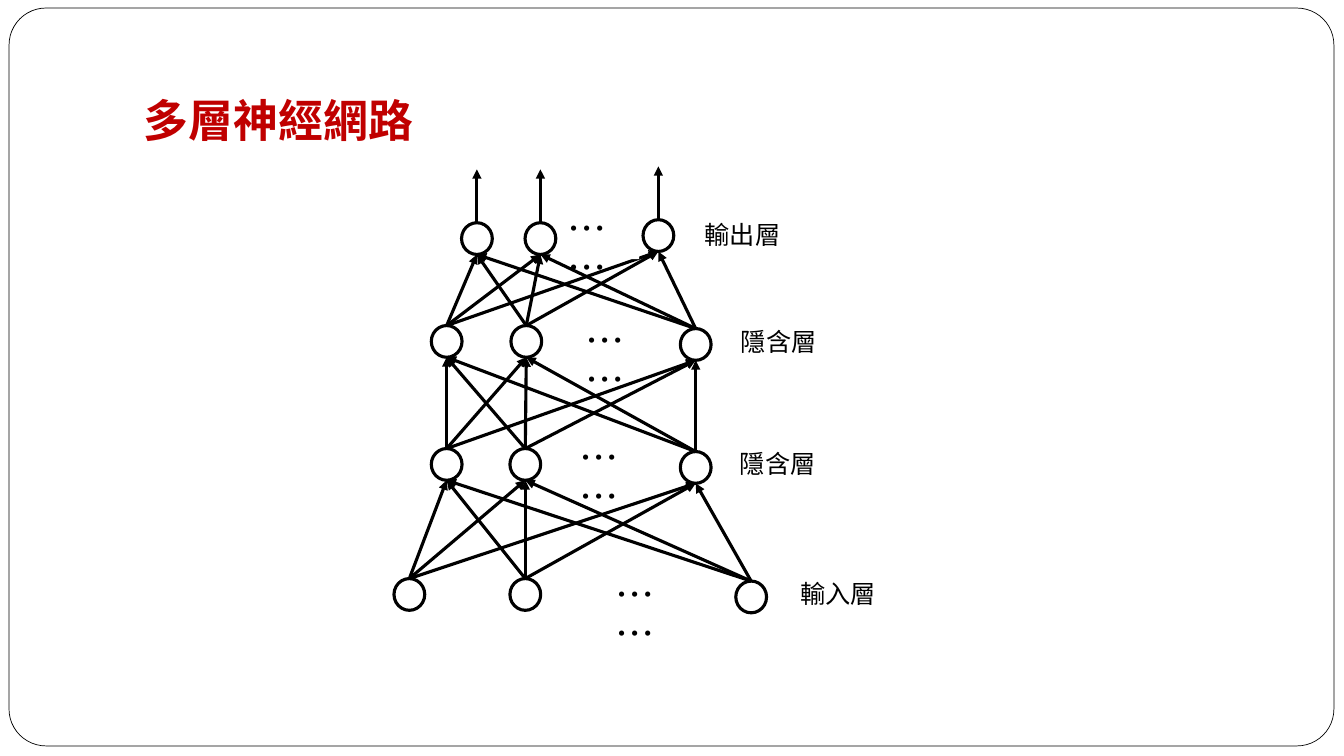
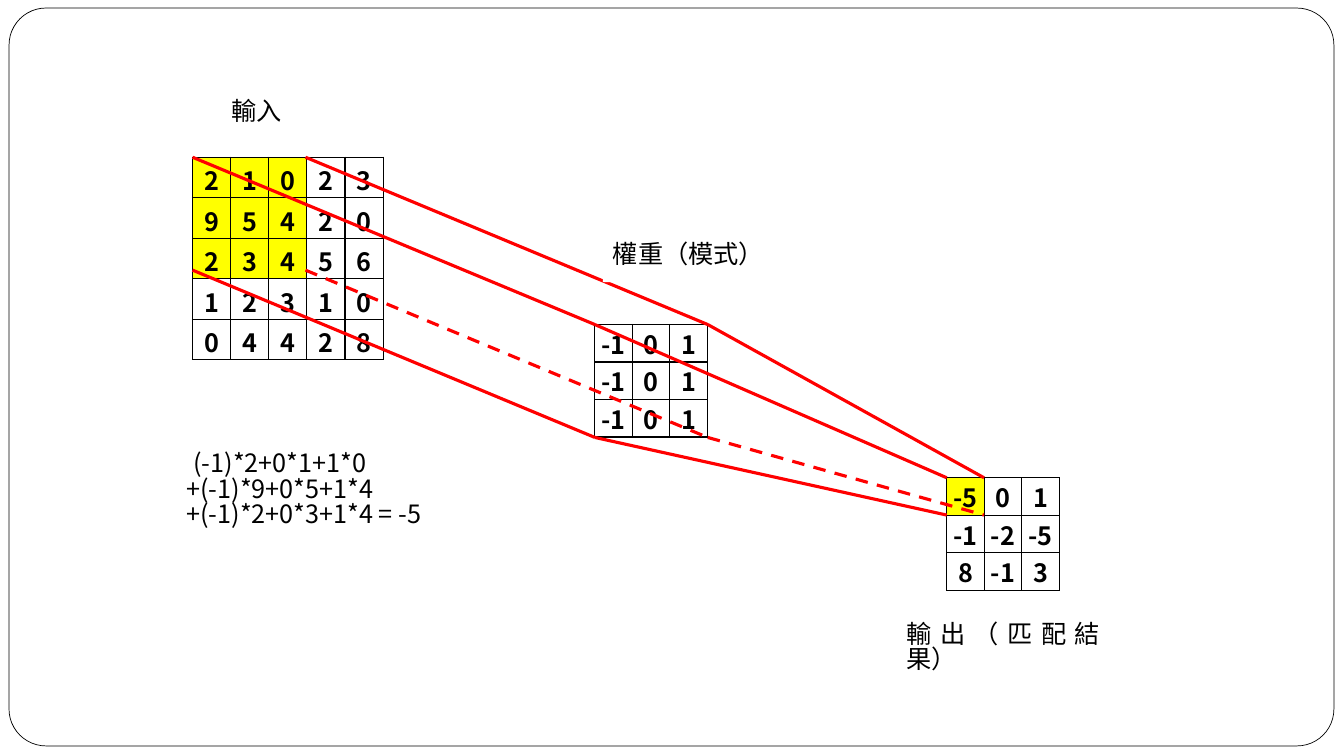
from dataclasses import dataclass
from itertools import product
from typing import NamedTuple, Optional

from lxml import etree
from pptx import Presentation
from pptx import util as u
from pptx.dml.color import RGBColor
from pptx.enum import dml, shapes, text
from pptx.oxml.ns import qn

COLORS = {
    "ink": "000000",
    "paper": "FFFFFF",
    "title": "C00000",
    "patch": "FFFF00",
    "ray": "FF0000",
}
BODY_FONT = "Noto Sans CJK SC"
TITLE_FONT = "Times New Roman"
LINE_PT = 2.25
LINE_SPACING = 0.84

# Grid: one column or row is a tenth of an inch
SLIDE_COLS, SLIDE_ROWS = 133.3, 75
NODE_WIDTH, NODE_HEIGHT = 3.05, 3.15


class Box(NamedTuple):
    left: float
    top: float
    width: float
    height: float


class Point(NamedTuple):
    x: float
    y: float


@dataclass(frozen=True)
class Layer:
    label: str
    centers: tuple[float, float, float]
    top: float
    last_shift: float  # the last node stands slightly off the row
    label_box: Box
    dots_box: Box

    def tops(self) -> list[Point]:
        shifts = (0, 0, self.last_shift)
        return [Point(x, self.top + s) for x, s in zip(self.centers, shifts)]

    def bottoms(self) -> list[Point]:
        return [Point(x, y + NODE_HEIGHT) for x, y in self.tops()]


@dataclass(frozen=True)
class Matrix:
    origin: Point
    cell: float
    values: str  # rows are separated by "/"
    patch: int  # highlighted rows and columns, from the top left
    window: float  # side of the square that the rays join
    top_inset: float = 0

    def corners(self) -> list[Point]:
        return [Point(self.origin.x + dx, self.origin.y + dy)
                for dx, dy in product((0, self.window), repeat=2)]


# Bottom to top
LAYERS = (
    Layer("輸入層", (40.6, 52.1, 74.5), 57.4, 0.25,
          Box(78.4, 57.4, 11.1, 5.2), Box(60.1, 56.8, 9.2, 5.2)),
    Layer("隱含層", (44.3, 52.1, 69), 44.5, 0.3,
          Box(72.4, 44.5, 10.9, 5.2), Box(56.5, 43.2, 7.5, 5.2)),
    Layer("隱含層", (44.3, 52.2, 69), 32.3, 0.3,
          Box(72.5, 32.4, 10.9, 5.2), Box(57.1, 31.6, 7.5, 5.2)),
    Layer("輸出層", (47.3, 53.6, 65.3), 22.1, -0.3,
          Box(68.9, 21.7, 12.2, 5.2), Box(55.3, 20.5, 8.1, 5.2)),
)
OUTPUT_ARROW = 5.3

# Input, weights, result
MATRICES = (
    Matrix(Point(19.1, 15.6), 3.78, "2 1 0 2 3/9 5 4 2 0/2 3 4 5 6/1 2 3 1 0/0 4 4 2 8",
           3, 11.2, 0.4),
    Matrix(Point(59, 32.2), 3.72, "-1 0 1/-1 0 1/-1 0 1", 0, 11.2),
    Matrix(Point(93.9, 47.4), 3.72, "-5 0 1/-1 -2 -5/8 -1 3", 1, 3.7),
)
CAPTIONS = (
    ("輸入", Box(22, 9.4, 8.3, 4.6)),
    ("權重（模式）", Box(59.8, 23.6, 17.3, 4.4)),
    ("輸出（匹配結果）", Box(88.9, 61.3, 21.2, 4.8)),
)
CALCULATION = "(-1)*2+0*1+1*0\n+(-1)*9+0*5+1*4\n+(-1)*2+0*3+1*4 = -5"


def grid(cells: float) -> int:
    return u.Inches(cells / 10)


def color(name: str) -> RGBColor:
    return RGBColor.from_string(COLORS[name])


def place(box: Box) -> list[int]:
    return [grid(length) for length in box]


def style_run(run, size: float, name: str = "ink", bold: bool = False,
              font: str = BODY_FONT) -> None:
    run.font.size, run.font.bold, run.font.name = u.Pt(size), bold, font
    run.font.color.rgb = color(name)
    if font == BODY_FONT:
        east_asian = etree.SubElement(run.font._element, qn("a:ea"))
        east_asian.set("typeface", font)


def add_outline(slide, kind, box: Box, fill: Optional[str], line: Optional[str],
                weight: float = LINE_PT):
    outline = slide.shapes.add_shape(kind, *place(box))
    outline.shadow.inherit = False
    if fill:
        outline.fill.solid()
        outline.fill.fore_color.rgb = color(fill)
    else:
        outline.fill.background()
    if line:
        outline.line.color.rgb = color(line)
        outline.line.width = u.Pt(weight)
    else:
        outline.line.fill.background()
    return outline


def add_label(slide, words: str, box: Box, size: float = 18):
    label = add_outline(slide, shapes.MSO_SHAPE.RECTANGLE, box, "paper", None)
    frame = label.text_frame
    frame.text = words
    frame.word_wrap = True
    frame.vertical_anchor = text.MSO_ANCHOR.TOP
    for paragraph in frame.paragraphs:
        paragraph.alignment = text.PP_ALIGN.JUSTIFY
        paragraph.line_spacing = LINE_SPACING
        for run in paragraph.runs:
            style_run(run, size)
    return label


def add_line(slide, start: Point, end: Point, name: str = "ink",
             arrow: bool = False, dashed: bool = False) -> None:
    line = slide.shapes.add_connector(
        shapes.MSO_CONNECTOR.STRAIGHT, *place(Box(*start, *end)))
    line.line.color.rgb = color(name)
    line.line.width = u.Pt(LINE_PT)
    if dashed:
        line.line.dash_style = dml.MSO_LINE.DASH
    if arrow:
        etree.SubElement(line.line._get_or_add_ln(), qn("a:tailEnd"), type="triangle")
    etree.SubElement(line._element.spPr, qn("a:effectLst"))


def add_framed_slide(deck):
    slide = deck.slides.add_slide(deck.slide_layouts[6])
    border = add_outline(slide, shapes.MSO_SHAPE.ROUNDED_RECTANGLE,
                         Box(0.9, 0.8, 131.4, 73.2), "paper", "ink", 0.5)
    border.adjustments[0] = 0.05
    return slide


def add_title(slide, words: str) -> None:
    frame = slide.shapes.add_textbox(*place(Box(13.3, 3, 113.3, 12.5))).text_frame
    frame.text = words
    frame.word_wrap = True
    frame.vertical_anchor = text.MSO_ANCHOR.BOTTOM
    frame.margin_bottom = grid(1)
    style_run(frame.paragraphs[0].runs[0], 32, "title", True, TITLE_FONT)


def border_cell(cell) -> None:
    properties = cell._tc.get_or_add_tcPr()
    for position, side in enumerate(("lnL", "lnR", "lnT", "lnB")):
        edge = etree.Element(qn(f"a:{side}"), w=str(u.Pt(1)))
        fill = etree.SubElement(edge, qn("a:solidFill"))
        etree.SubElement(fill, qn("a:srgbClr"), val=COLORS["ink"])
        properties.insert(position, edge)


def add_matrix(slide, matrix: Matrix) -> None:
    rows = [row.split() for row in matrix.values.split("/")]
    side = matrix.cell * len(rows)
    table = slide.shapes.add_table(
        len(rows), len(rows), *place(Box(*matrix.origin, side, side))).table
    table.first_row = table.horz_banding = False
    for r, c in product(range(len(rows)), repeat=2):
        cell = table.cell(r, c)
        cell.text = rows[r][c]
        cell.vertical_anchor = text.MSO_ANCHOR.MIDDLE
        cell.margin_left = cell.margin_right = grid(0.2)
        cell.margin_top, cell.margin_bottom = grid(matrix.top_inset), 0
        if max(r, c) < matrix.patch:
            cell.fill.solid()
            cell.fill.fore_color.rgb = color("patch")
        else:
            cell.fill.background()
        border_cell(cell)
        paragraph = cell.text_frame.paragraphs[0]
        paragraph.alignment = text.PP_ALIGN.CENTER
        style_run(paragraph.runs[0], 18, bold=True)


def build_network(deck) -> None:
    slide = add_framed_slide(deck)
    add_title(slide, "多層神經網路")
    # Every node feeds every node of the layer above
    for lower, upper in zip(LAYERS, LAYERS[1:]):
        for start, end in product(lower.tops(), upper.bottoms()):
            add_line(slide, start, end, arrow=True)
    for start in LAYERS[-1].tops():
        add_line(slide, start, Point(start.x, start.y - OUTPUT_ARROW), arrow=True)
    # Nodes, layer names and dots
    for layer in LAYERS:
        add_label(slide, layer.label, layer.label_box)
        add_label(slide, "……", layer.dots_box, 28)
        for x, y in layer.tops():
            add_outline(slide, shapes.MSO_SHAPE.OVAL,
                        Box(x - NODE_WIDTH / 2, y, NODE_WIDTH, NODE_HEIGHT), None, "ink")


def build_convolution(deck) -> None:
    slide = add_framed_slide(deck)
    for matrix in MATRICES:
        add_matrix(slide, matrix)
    # Rays join matching corners; the hidden lower right one is dashed
    for source, target in zip(MATRICES, MATRICES[1:]):
        rays = zip(source.corners(), target.corners())
        for index, (start, end) in enumerate(rays):
            add_line(slide, start, end, "ray", dashed=index == 3)
    for words, box in CAPTIONS:
        add_label(slide, words, box)
    calculation = add_label(slide, CALCULATION, Box(17.5, 44.4, 27.7, 10.2))
    first = calculation.text_frame.paragraphs[0]
    first._p.get_or_add_pPr().set("indent", str(grid(0.7)))


def main() -> None:
    deck = Presentation()
    deck.slide_width, deck.slide_height = grid(SLIDE_COLS), grid(SLIDE_ROWS)
    build_network(deck)
    build_convolution(deck)
    deck.save("out.pptx")


if __name__ == "__main__":
    main()
